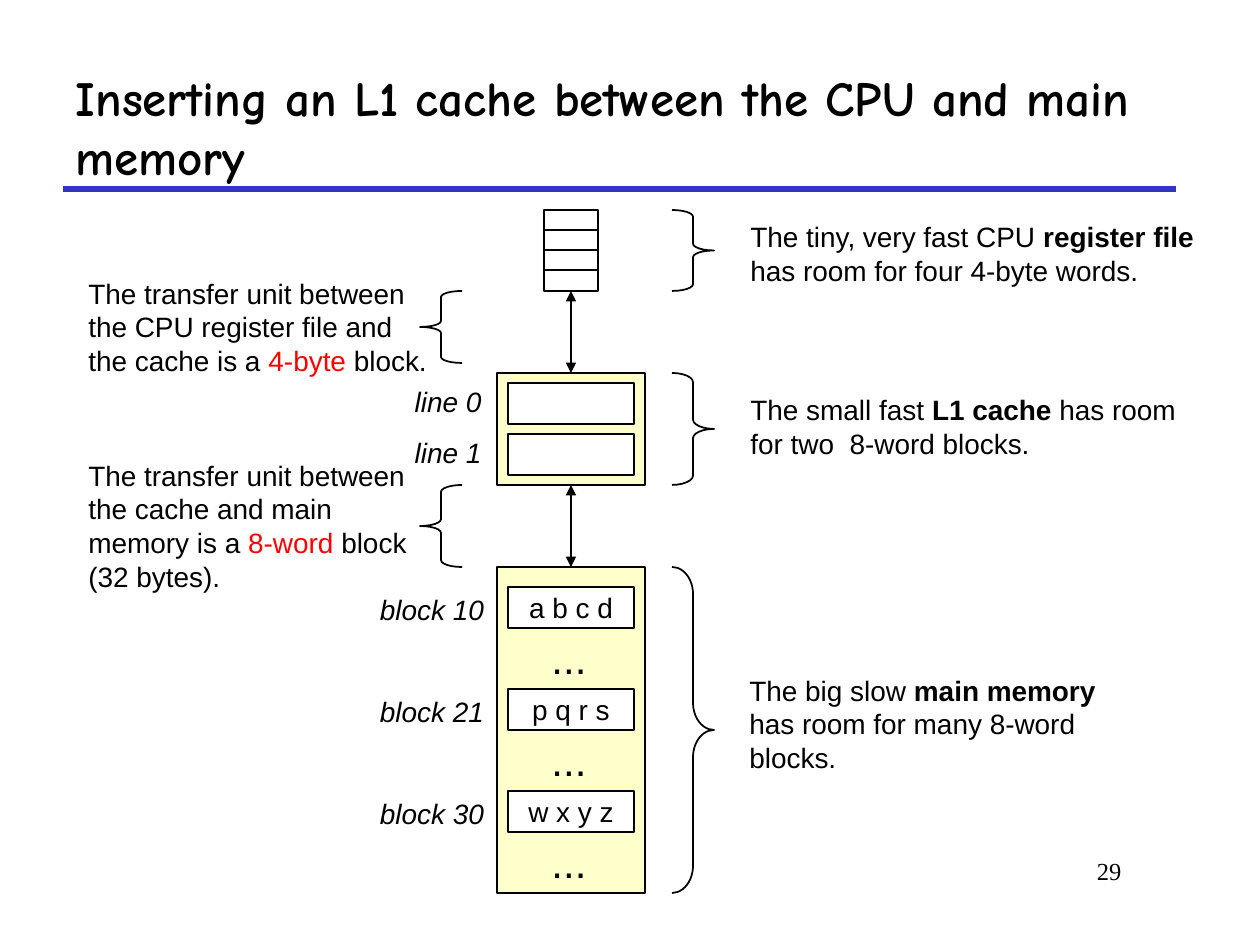
from dataclasses import dataclass
from typing import Any, NamedTuple

import lxml.etree
import pptx
import pptx.dml.color
import pptx.enum.shapes
import pptx.enum.text
import pptx.oxml.ns
import pptx.util

SHAPE = pptx.enum.shapes.MSO_SHAPE
ALIGN = pptx.enum.text.PP_ALIGN
ANCHOR = pptx.enum.text.MSO_ANCHOR
EMU_PER_PX = 914400 / 126
qn = pptx.oxml.ns.qn


@dataclass(frozen=True)
class Theme:
    ink: str = "000000"
    rule: str = "3333CC"
    store: str = "FFFF99"
    slot: str = "FFFFFF"
    accent: str = "FF0000"
    sans: str = "Arial"
    heading: str = "Comic Neue"
    serif: str = "Times New Roman"
    title_pt: int = 28
    dots_pt: int = 24
    body_pt: int = 16
    number_pt: int = 14


T = Theme()


class Box(NamedTuple):
    x: int
    y: int
    w: int
    h: int


class Run(NamedTuple):
    text: str
    fmt: dict[str, Any] = {}
    color: str = T.ink


class Note(NamedTuple):
    box: Box
    lines: list[list[Run]]


class Brace(NamedTuple):
    kind: Any
    box: Box


BOLD = {"bold": True}
ITALIC = {"italic": True}
AXIS = 571
SLOT_W, SLOT_H = 126, 41
REGISTERS = Box(544, 210, 54, 81)
CACHE = Box(497, 373, 148, 112)
MEMORY = Box(497, 567, 148, 326)
LINE_TOP, LINE_PITCH = 383, 51
BLOCK_TOP, BLOCK_PITCH = 587, 102
BLOCKS = [("block 10", "a b c d"), ("block 21", "p q r s"), ("block 30", "w x y z")]

NOTES = [
    Note(Box(738, 213, 470, 81), [
        [Run("The tiny, very fast CPU "), Run("register file", BOLD)],
        [Run("has room for four 4-byte words.")]]),
    Note(Box(738, 386, 450, 81), [
        [Run("The small fast "), Run("L1 cache ", BOLD), Run("has room")],
        [Run("for two  8-word blocks.")]]),
    Note(Box(737, 667, 370, 113), [
        [Run("The big slow "), Run("main memory", BOLD)],
        [Run("has room for many 8-word")],
        [Run("blocks.")]]),
    Note(Box(76, 270, 363, 113), [
        [Run("The transfer unit between")],
        [Run("the CPU register file and")],
        [Run("the cache is a "), Run("4-byte", color=T.accent), Run(" block.")]]),
    Note(Box(76, 452, 343, 147), [
        [Run("The transfer unit between")],
        [Run("the cache and main")],
        [Run("memory is a "), Run("8-word", color=T.accent), Run(" block")],
        [Run("(32 bytes).")]]),
]

BRACES = [
    *(Brace(SHAPE.RIGHT_BRACE, Box(672, b.y, 42, b.h)) for b in (REGISTERS, CACHE, MEMORY)),
    Brace(SHAPE.LEFT_BRACE, Box(420, 291, 42, 72)),
    Brace(SHAPE.LEFT_BRACE, Box(420, 485, 42, 82)),
]


def px(n: float) -> pptx.util.Emu:
    return pptx.util.Emu(round(n * EMU_PER_PX))


def rgb(color: str) -> pptx.dml.color.RGBColor:
    return pptx.dml.color.RGBColor.from_string(color)


def apply(target: Any, values: dict[str, Any]) -> None:
    for name, value in values.items():
        setattr(target, name, value)


def write(tf: Any, lines: list[list[Run]], size: int = T.body_pt, face: str = T.sans,
          align: Any = ALIGN.LEFT, anchor: Any = ANCHOR.MIDDLE, wrap: bool = False) -> None:
    apply(tf, {"word_wrap": wrap, "auto_size": pptx.enum.text.MSO_AUTO_SIZE.NONE,
               "vertical_anchor": anchor})
    for i, line in enumerate(lines):
        p = tf.add_paragraph() if i else tf.paragraphs[0]
        p.alignment = align
        for run in line:
            r = p.add_run()
            r.text = run.text
            apply(r.font, {"name": face, "size": pptx.util.Pt(size), **run.fmt})
            r.font.color.rgb = rgb(run.color)


def add_text(s: Any, box: Box, lines: list[list[Run]], **style: Any) -> None:
    write(s.shapes.add_textbox(*map(px, box)).text_frame, lines, **style)


def outline(shape: Any, color: str = T.ink, width: float = 1) -> None:
    shape.line.color.rgb = rgb(color)
    shape.line.width = pptx.util.Pt(width)


def add_shape(s: Any, box: Box, kind: Any = SHAPE.RECTANGLE, fill: str = "",
              alpha: int = 100) -> Any:
    """Draw an outlined shape; alpha is the fill's opacity in percent."""
    sp = s.shapes.add_shape(kind, *map(px, box))
    sp.shadow.inherit = False
    outline(sp)
    if not fill:
        sp.fill.background()
        return sp
    sp.fill.solid()
    sp.fill.fore_color.rgb = rgb(fill)
    if alpha < 100:
        clr = sp.fill._xPr.find(f"{qn('a:solidFill')}/{qn('a:srgbClr')}")
        lxml.etree.SubElement(clr, qn("a:alpha"), val=str(alpha * 1000))
    return sp


def add_line(s: Any, x1: int, y1: int, x2: int, y2: int, **style: Any) -> Any:
    cxn = s.shapes.add_connector(pptx.enum.shapes.MSO_CONNECTOR.STRAIGHT,
                                 *map(px, (x1, y1, x2, y2)))
    outline(cxn, **style)
    lxml.etree.SubElement(cxn._element.spPr, qn("a:effectLst"))
    return cxn


def add_transfer(s: Any, upper: Any, lower: Any, top: int, bottom: int) -> None:
    """Join two stores with a double-headed arrow."""
    cxn = add_line(s, AXIS, top, AXIS, bottom)
    cxn.begin_connect(upper, 2)
    cxn.end_connect(lower, 0)
    for end in ("a:headEnd", "a:tailEnd"):
        lxml.etree.SubElement(cxn.line._get_or_add_ln(), qn(end), type="triangle")


def add_slot(s: Any, y: int, content: str = "") -> None:
    sp = add_shape(s, Box(AXIS - SLOT_W // 2, y, SLOT_W, SLOT_H), fill=T.slot)
    if content:
        write(sp.text_frame, [[Run(content)]], align=ALIGN.CENTER)


def add_label(s: Any, box: Box, text: str) -> None:
    add_text(s, box, [[Run(text, ITALIC)]], align=ALIGN.CENTER)


def main() -> None:
    prs = pptx.Presentation()
    apply(prs, {"slide_width": px(1260), "slide_height": px(945)})
    s = prs.slides.add_slide(prs.slide_layouts[5])

    add_line(s, 63, 189, 1176, 189, color=T.rule, width=3)
    title = s.shapes.title
    apply(title, dict(zip(("left", "top", "width", "height"), map(px, (63, 63, 1113, 126)))))
    write(title.text_frame, [[Run("Inserting an L1 cache between the CPU and main memory", BOLD)]],
          size=T.title_pt, face=T.heading, wrap=True)
    add_text(s, Box(955, 850, 179, 63), [[Run("29")]], size=T.number_pt, face=T.serif,
             align=ALIGN.RIGHT, anchor=ANCHOR.TOP, wrap=True)

    cache, memory = (add_shape(s, b, fill=T.store, alpha=50) for b in (CACHE, MEMORY))
    edges = [REGISTERS.y + REGISTERS.h * i // 4 for i in range(5)]
    registers = [add_shape(s, Box(REGISTERS.x, top, REGISTERS.w, bottom - top))
                 for top, bottom in zip(edges, edges[1:])]
    add_transfer(s, registers[-1], cache, REGISTERS.y + REGISTERS.h, CACHE.y)
    add_transfer(s, cache, memory, CACHE.y + CACHE.h, MEMORY.y)

    for i in range(2):
        y = LINE_TOP + i * LINE_PITCH
        add_slot(s, y)
        add_label(s, Box(402, y - 5, 92, 46), f"line {i}")
    for i, (label, content) in enumerate(BLOCKS):
        y = BLOCK_TOP + i * BLOCK_PITCH
        add_slot(s, y, content)
        add_label(s, Box(368, y - 1, 128, 46), label)
        add_text(s, Box(539, y + 39, 60, 63), [[Run("...")]], size=T.dots_pt, align=ALIGN.CENTER)

    for kind, box in BRACES:
        add_shape(s, box, kind).adjustments[0] = box.h / 12 / box.w
    for note in NOTES:
        add_text(s, note.box, note.lines)
    prs.save("out.pptx")


if __name__ == "__main__":
    main()
